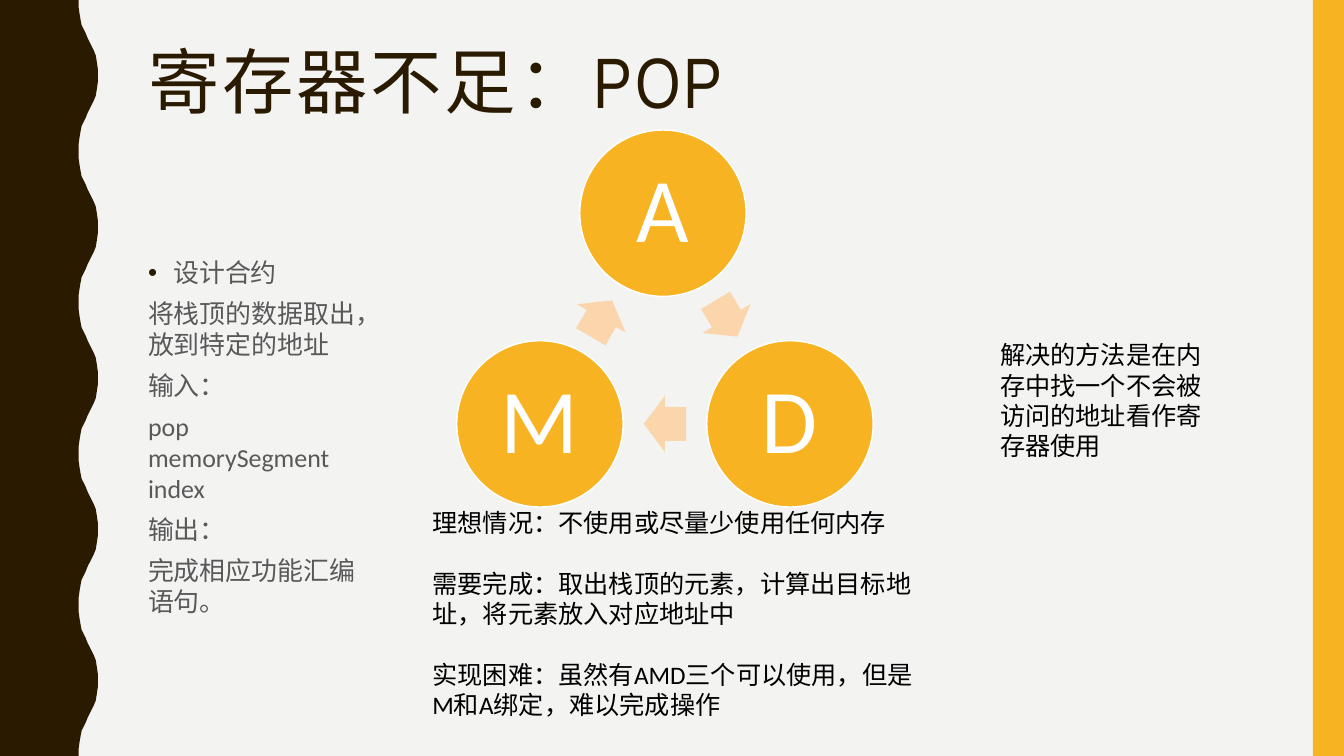
import math
from dataclasses import dataclass

import pptx
import pptx.dml.color
import pptx.enum.shapes
import pptx.enum.text
import pptx.util
from lxml import etree

Inches = pptx.util.Inches
Pt = pptx.util.Pt
SHAPE = pptx.enum.shapes.MSO_SHAPE
ALIGN = pptx.enum.text.PP_ALIGN
ANCHOR = pptx.enum.text.MSO_ANCHOR
AUTO = pptx.enum.text.MSO_AUTO_SIZE


@dataclass(frozen=True)
class Theme:
    paper: str = "F3F3F2"
    brown: str = "2A1A00"
    gold: str = "F8B323"
    peach: str = "FBD6AC"
    grey: str = "595959"
    white: str = "FFFFFF"
    black: str = "000000"
    heading_font: str = "Arial Narrow"
    body_font: str = "Calibri"
    title_size: float = 51
    body_size: float = 18.5
    note_size: float = 18
    letter_size: float = 65


THEME = Theme()


def rgb(value):
    return pptx.dml.color.RGBColor.from_string(value)


def set_all(target, values):
    for name, value in values.items():
        setattr(target, name, value)


def style(sp, fill, line=None):
    sp.shadow.inherit = False
    sp.fill.solid()
    sp.fill.fore_color.rgb = rgb(fill)
    if line:
        sp.line.color.rgb = rgb(line)
        sp.line.width = Pt(1)
    else:
        sp.line.fill.background()


def write(p, text, size, color, font=THEME.body_font, **paragraph_format):
    set_all(p, paragraph_format)
    r = p.add_run()
    r.text = text
    set_all(r.font, {"size": Pt(size), "name": font})
    r.font.color.rgb = rgb(color)
    return r


def add_text(slide, box, lines, size, color, gap=0, font=THEME.body_font,
             auto_size=AUTO.NONE, **paragraph_format):
    """Add a wrapping text box with `gap` points between its paragraphs."""
    tf = slide.shapes.add_textbox(*map(Inches, box)).text_frame
    set_all(tf, {"word_wrap": True, "auto_size": auto_size})
    for i, line in enumerate(lines):
        p = tf.add_paragraph() if i else tf.paragraphs[0]
        write(p, line, size, color, font, space_before=Pt(gap if i else 0),
              **paragraph_format)
    return tf


def add_bullet(p, color):
    pPr = p._p.get_or_add_pPr()
    pPr.set("marL", str(Inches(0.25)))
    pPr.set("indent", str(-Inches(0.25)))
    ns = pptx.oxml.ns.qn
    clr = etree.SubElement(pPr, ns("a:buClr"))
    etree.SubElement(clr, ns("a:srgbClr")).set("val", color)
    etree.SubElement(pPr, ns("a:buFont")).set("typeface", "Arial")
    etree.SubElement(pPr, ns("a:buChar")).set("char", "•")


def add_wavy_edge(slide, height):
    """Fill the left side up to a wave that repeats every 1.5 inches."""
    period = 1.5
    half = [(0.78, 0), (0.78, 0.07), (0.79, 0.14), (0.8, 0.2), (0.81, 0.25),
            (0.83, 0.29), (0.85, 0.33), (0.87, 0.38), (0.89, 0.42),
            (0.91, 0.46), (0.93, 0.5), (0.95, 0.55), (0.96, 0.61),
            (0.97, 0.68), (0.97, 0.75)]
    wave = half + [(x, period - y) for x, y in half[-2::-1]]
    edge = [(x, k * period + y)
            for k in range(round(height / period)) for x, y in wave]
    builder = slide.shapes.build_freeform(0, 0, scale=1.0)
    builder.add_line_segments(
        [(Inches(x), Inches(y)) for x, y in edge + [(0, height)]], close=True)
    style(builder.convert_to_shape(), THEME.brown)


def add_side_bar(slide, box):
    style(slide.shapes.add_shape(SHAPE.RECTANGLE, *map(Inches, box)), THEME.gold)


def add_title(slide, box, text):
    tf = add_text(slide, box, [text], THEME.title_size, THEME.brown,
                  font=THEME.heading_font, line_spacing=0.9)
    tf.paragraphs[0].runs[0].font._element.set("spc", "200")


def add_contract(slide, box):
    lines = ["设计合约", "将栈顶的数据取出，放到特定的地址", "输入：",
             "pop memorySegment index", "输出：", "完成相应功能汇编语句。"]
    tf = add_text(slide, box, lines, THEME.body_size, THEME.grey, gap=7)
    add_bullet(tf.paragraphs[0], THEME.brown)


def add_centred(slide, kind, centre, width, height):
    x, y = centre
    return slide.shapes.add_shape(kind, Inches(x - width / 2), Inches(y - height / 2),
                                  Inches(width), Inches(height))


def add_register_cycle(slide, box):
    """Three circles joined clockwise by arrows halfway between them."""
    left, top, width, height = box
    d = 1.65
    bottom = top + height - d / 2
    centres = {"A": (left + width / 2 - 0.02, top + d / 2),
               "D": (left + width - d / 2, bottom),
               "M": (left + d / 2, bottom)}
    for letter, centre in centres.items():
        sp = add_centred(slide, SHAPE.OVAL, centre, d, d)
        style(sp, THEME.gold, THEME.white)
        tf = sp.text_frame
        margins = ("margin_left", "margin_top", "margin_right", "margin_bottom")
        set_all(tf, dict.fromkeys(margins, Inches(0.09)))
        set_all(tf, {"vertical_anchor": ANCHOR.MIDDLE, "word_wrap": True})
        write(tf.paragraphs[0], letter, THEME.letter_size, THEME.white,
              alignment=ALIGN.CENTER, line_spacing=0.9)

    points = list(centres.values())
    for (x1, y1), (x2, y2) in zip(points, points[1:] + points[:1]):
        arrow = add_centred(slide, SHAPE.RIGHT_ARROW,
                            ((x1 + x2) / 2, (y1 + y2) / 2), 0.42, 0.56)
        arrow.adjustments[0] = 0.6
        arrow.adjustments[1] = 0.5
        arrow.rotation = math.degrees(math.atan2(y2 - y1, x2 - x1)) % 360
        style(arrow, THEME.peach)


def add_notes_text(slide, box, lines):
    add_text(slide, box, lines, THEME.note_size, THEME.black, gap=22,
             auto_size=AUTO.SHAPE_TO_FIT_TEXT)


def main():
    prs = pptx.Presentation()
    set_all(prs, {"slide_width": Inches(13.33), "slide_height": Inches(7.5)})
    slide = prs.slides.add_slide(prs.slide_layouts[6])
    slide.background.fill.solid()
    slide.background.fill.fore_color.rgb = rgb(THEME.paper)

    add_wavy_edge(slide, 7.5)
    add_side_bar(slide, (13.02, 0, 0.31, 7.5))
    add_title(slide, (1.37, 0.42, 11.13, 1.63), "寄存器不足：POP")
    add_contract(slide, (1.37, 2.5, 2.41, 3.93))
    add_register_cycle(slide, (4.53, 1.29, 4.13, 3.74))
    add_notes_text(slide, (4.19, 4.98, 5.05, 2.22), [
        "理想情况：不使用或尽量少使用任何内存",
        "需要完成：取出栈顶的元素，计算出目标地址，将元素放入对应地址中",
        "实现困难：虽然有AMD三个可以使用，但是M和A绑定，难以完成操作"])
    add_notes_text(slide, (9.82, 3.32, 2.23, 1.31),
                   ["解决的方法是在内存中找一个不会被访问的地址看作寄存器使用"])
    prs.save("out.pptx")


if __name__ == "__main__":
    main()
